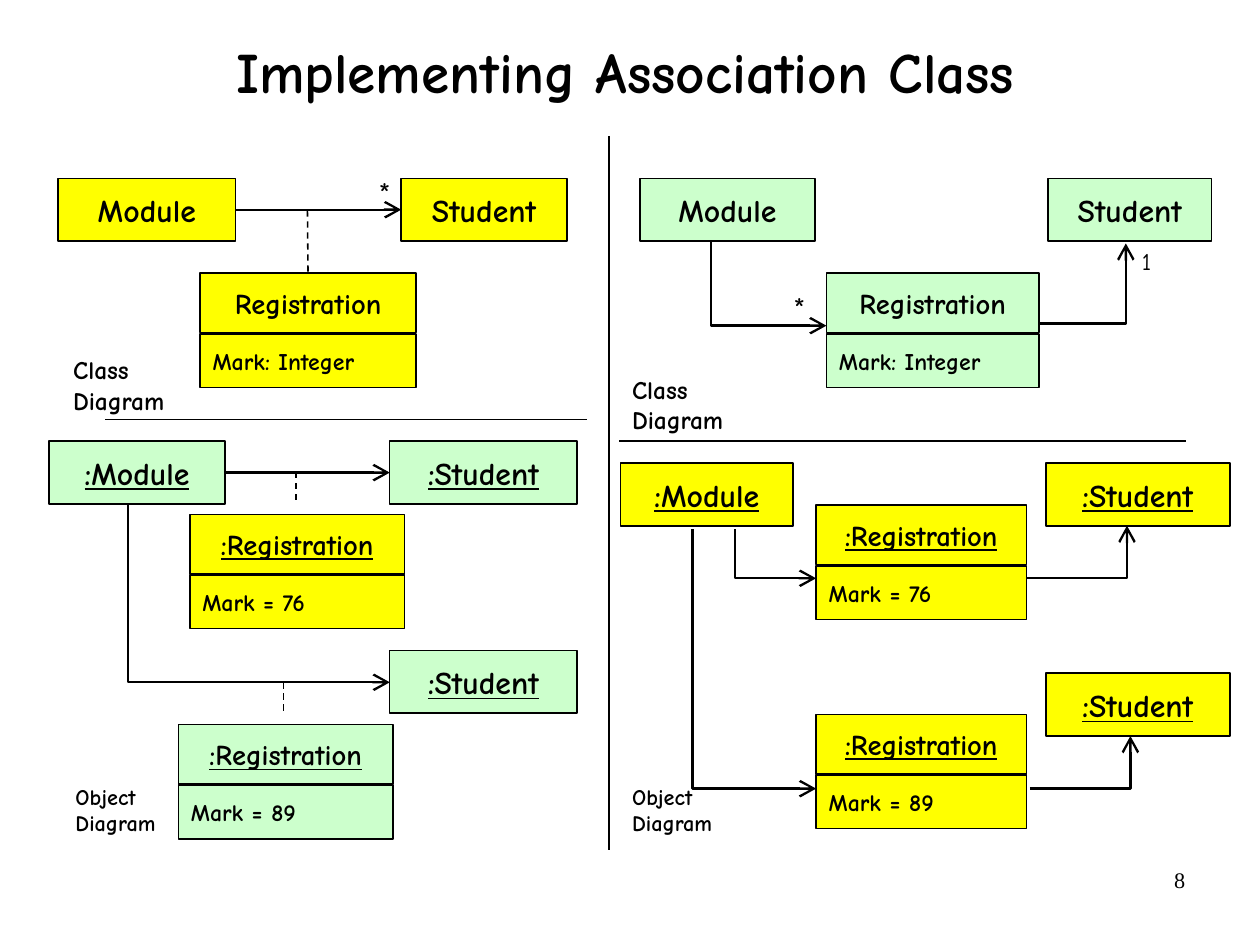
from dataclasses import dataclass

from lxml.etree import SubElement
from pptx import Presentation
from pptx.dml.color import RGBColor
from pptx.enum.dml import MSO_LINE
from pptx.enum.shapes import MSO_CONNECTOR, MSO_SHAPE
from pptx.enum.text import MSO_ANCHOR, PP_ALIGN
from pptx.oxml.ns import qn
from pptx.shapes.autoshape import Shape
from pptx.shapes.connector import Connector
from pptx.slide import Slide
from pptx.text.text import TextFrame
from pptx.util import Inches, Pt

SLIDE_WIDTH = 28 / 2.54
SLIDE_HEIGHT = 21 / 2.54
YELLOW = "FFFF00"
GREEN = "CCFFCC"
BLACK = "000000"
COMIC = "Comic Neue"
TOP, LEFT, RIGHT = 0, 1, 3
NAME_HEIGHT = 0.55
HEADER_HEIGHT = 0.52
ATTRIBUTE_OFFSET = 0.53
ATTRIBUTE_HEIGHT = 0.47


@dataclass(frozen=True)
class ClassBox:
    name: str
    left: float
    top: float
    width: float
    fill: str
    attribute: str = ""


@dataclass(frozen=True)
class Link:
    start: tuple[float, float]
    end: tuple[float, float]
    width: float = 1
    arrow: bool = False
    dashed: bool = False
    source: ClassBox | None = None
    target: ClassBox | None = None
    target_side: int = LEFT


@dataclass(frozen=True)
class Elbow:
    start: tuple[float, float]
    corner: tuple[float, float]
    end: tuple[float, float]


@dataclass(frozen=True)
class Label:
    text: str
    left: float
    top: float
    width: float
    height: float
    size: float
    bold: bool = True
    font: str = COMIC
    align: PP_ALIGN = PP_ALIGN.LEFT
    line_spacing: float = 1.0


CLASS_MODULE = ClassBox("Module", 0.51, 1.56, 1.55, YELLOW)
CLASS_STUDENT = ClassBox("Student", 3.51, 1.56, 1.45, YELLOW)
CLASS_REGISTRATION = ClassBox("Registration", 1.75, 2.39, 1.89, YELLOW, "Mark: Integer")
OBJECT_MODULE = ClassBox(":Module", 0.43, 3.86, 1.54, GREEN)
OBJECT_STUDENT = ClassBox(":Student", 3.41, 3.86, 1.64, GREEN)

BOXES = [
    CLASS_MODULE,
    CLASS_STUDENT,
    CLASS_REGISTRATION,
    ClassBox("Module", 5.6, 1.56, 1.53, GREEN),
    ClassBox("Student", 9.17, 1.56, 1.43, GREEN),
    ClassBox("Registration", 7.23, 2.39, 1.86, GREEN, "Mark: Integer"),
    OBJECT_MODULE,
    OBJECT_STUDENT,
    ClassBox(":Registration", 1.66, 4.5, 1.88, YELLOW, "Mark = 76"),
    ClassBox(":Student", 3.41, 5.69, 1.64, GREEN),
    ClassBox(":Registration", 1.56, 6.34, 1.88, GREEN, "Mark = 89"),
    ClassBox(":Module", 5.43, 4.05, 1.51, YELLOW),
    ClassBox(":Student", 9.15, 4.05, 1.61, YELLOW),
    ClassBox(":Registration", 7.14, 4.42, 1.84, YELLOW, "Mark = 76"),
    ClassBox(":Student", 9.15, 5.89, 1.61, YELLOW),
    ClassBox(":Registration", 7.14, 6.25, 1.84, YELLOW, "Mark = 89"),
]

LINKS = [
    Link((2.06, 1.84), (3.51, 1.84), 1.5, arrow=True,
         source=CLASS_MODULE, target=CLASS_STUDENT),
    Link((2.69, 1.84), (2.69, 2.39), dashed=True,
         target=CLASS_REGISTRATION, target_side=TOP),
    Link((1.97, 4.13), (3.41, 4.13), 1.5, arrow=True,
         source=OBJECT_MODULE, target=OBJECT_STUDENT),
    Link((2.59, 4.13), (2.59, 4.41), dashed=True),
    Link((2.48, 5.97), (2.48, 6.24), dashed=True),
    Link((5.33, 1.19), (5.33, 7.44), 1.25),
    Link((0.92, 3.67), (5.14, 3.67)),
    Link((5.42, 3.86), (10.38, 3.86)),
]

ELBOWS = [
    Elbow((6.22, 2.11), (6.22, 2.85), (7.23, 2.85)),
    Elbow((9.1, 2.83), (9.85, 2.83), (9.85, 2.13)),
    Elbow((1.12, 4.41), (1.12, 5.97), (3.41, 5.97)),
    Elbow((6.43, 4.63), (6.43, 5.06), (7.14, 5.06)),
    Elbow((8.98, 5.06), (9.86, 5.06), (9.86, 4.6)),
    Elbow((6.06, 4.63), (6.06, 6.9), (7.14, 6.9)),
    Elbow((9.01, 6.9), (9.89, 6.9), (9.89, 6.44)),
]

LABELS = [
    Label("Implementing Association Class", 0.77, 0.35, 9.4, 1.37, 36,
          align=PP_ALIGN.CENTER, line_spacing=0.88),
    Label("*", 3.2, 1.47, 0.52, 0.44, 20, bold=False),
    Label("*", 6.83, 2.48, 0.51, 0.44, 20, bold=False),
    Label("1", 9.88, 2.11, 0.51, 0.36, 15, bold=False),
    Label("Class Diagram", 0.53, 3.05, 1.4, 0.64, 16),
    Label("Class Diagram", 5.42, 3.22, 1.26, 0.64, 16),
    Label("Object Diagram", 0.55, 6.8, 1.22, 0.58, 14),
    Label("Object Diagram", 5.42, 6.8, 1.18, 0.58, 14),
    Label("8", 7.91, 7.53, 2.57, 0.57, 14, bold=False,
          font="Times New Roman", align=PP_ALIGN.RIGHT),
]


def color(value: str) -> RGBColor:
    return RGBColor.from_string(value)


def write(frame: TextFrame, text: str, size: float, align: PP_ALIGN, inset: float,
          bold: bool = True, font: str = COMIC) -> None:
    frame.word_wrap = True
    frame.margin_left = frame.margin_right = Inches(0.11)
    frame.margin_top = frame.margin_bottom = Inches(inset)
    paragraph = frame.paragraphs[0]
    paragraph.text = text
    paragraph.alignment = align
    for run in paragraph.runs:
        run.font.name = font
        run.font.size = Pt(size)
        run.font.bold = bold
        run.font.underline = text.startswith(":")
        run.font.color.rgb = color(BLACK)


def style_line(shape: Shape | Connector, width: float, arrow: bool = False) -> None:
    shape.line.color.rgb = color(BLACK)
    shape.line.width = Pt(width)
    if arrow:
        outline = shape.line._get_or_add_ln()
        SubElement(outline, qn("a:tailEnd"), type="arrow", w="lg", len="lg")


def draw_cell(slide: Slide, box: ClassBox, top: float, height: float,
              text: str, size: float, align: PP_ALIGN) -> Shape:
    cell = slide.shapes.add_shape(MSO_SHAPE.RECTANGLE, Inches(box.left), Inches(top),
                                  Inches(box.width), Inches(height))
    cell.shadow.inherit = False
    cell.fill.solid()
    cell.fill.fore_color.rgb = color(box.fill)
    style_line(cell, 1)
    cell.text_frame.vertical_anchor = MSO_ANCHOR.MIDDLE
    write(cell.text_frame, text, size, align, 0.11)
    return cell


def draw_box(slide: Slide, box: ClassBox) -> Shape:
    if not box.attribute:
        return draw_cell(slide, box, box.top, NAME_HEIGHT, box.name, 20, PP_ALIGN.CENTER)
    header = draw_cell(slide, box, box.top, HEADER_HEIGHT, box.name, 18, PP_ALIGN.CENTER)
    draw_cell(slide, box, box.top + ATTRIBUTE_OFFSET, ATTRIBUTE_HEIGHT,
              box.attribute, 15, PP_ALIGN.LEFT)
    return header


def draw_link(slide: Slide, link: Link, drawn: dict[ClassBox, Shape]) -> None:
    connector = slide.shapes.add_connector(
        MSO_CONNECTOR.STRAIGHT, *map(Inches, link.start + link.end))
    if link.source:
        connector.begin_connect(drawn[link.source], RIGHT)
    if link.target:
        connector.end_connect(drawn[link.target], link.target_side)
    if link.dashed:
        connector.line.dash_style = MSO_LINE.DASH
    style_line(connector, link.width, link.arrow)
    SubElement(connector._element.spPr, qn("a:effectLst"))


def draw_elbow(slide: Slide, elbow: Elbow) -> None:
    builder = slide.shapes.build_freeform(*map(Inches, elbow.start))
    builder.add_line_segments(
        [(Inches(x), Inches(y)) for x, y in (elbow.corner, elbow.end)], close=False)
    arrow = builder.convert_to_shape()
    arrow.shadow.inherit = False
    arrow.fill.background()
    style_line(arrow, 1.5, arrow=True)


def draw_label(slide: Slide, label: Label) -> None:
    area = (label.left, label.top, label.width, label.height)
    frame = slide.shapes.add_textbox(*map(Inches, area)).text_frame
    write(frame, label.text, label.size, label.align, 0.05, label.bold, label.font)
    frame.paragraphs[0].line_spacing = label.line_spacing


def main() -> None:
    deck = Presentation()
    deck.slide_width, deck.slide_height = Inches(SLIDE_WIDTH), Inches(SLIDE_HEIGHT)
    slide = deck.slides.add_slide(deck.slide_layouts[6])
    drawn = {box: draw_box(slide, box) for box in BOXES}
    for link in LINKS:
        draw_link(slide, link, drawn)
    for elbow in ELBOWS:
        draw_elbow(slide, elbow)
    for label in LABELS:
        draw_label(slide, label)
    deck.save("out.pptx")


if __name__ == "__main__":
    main()
